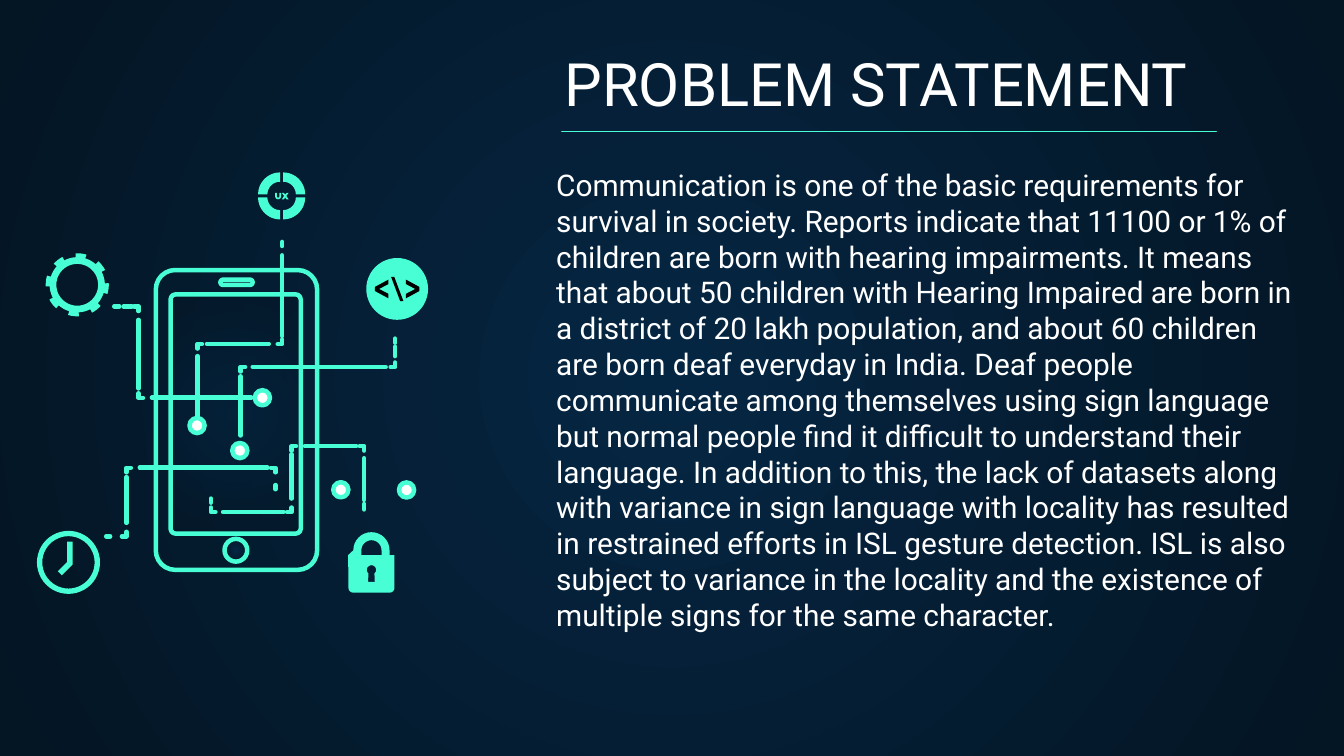
from math import cos, radians, sin

from pptx import Presentation
from pptx.dml.color import RGBColor
from pptx.enum.shapes import MSO_CONNECTOR as Connector, MSO_SHAPE as Shape
from pptx.enum.text import MSO_ANCHOR as Anchor, MSO_AUTO_SIZE as AutoSize, PP_ALIGN as Align
from pptx.oxml import parse_xml
from pptx.oxml.ns import nsdecls, qn
from pptx.util import Pt

# Content
TITLE = "PROBLEM STATEMENT"
STATEMENT = (
    "Communication is one of the basic requirements for survival in society. "
    "Reports indicate that 11100 or 1% of children are born with hearing impairments. "
    "It means that about 50 children with Hearing Impaired are born in a district of "
    "20 lakh population, and about 60 children are born deaf everyday in India. "
    "Deaf people communicate among themselves using sign language but normal people "
    "find it difficult to understand their language. In addition to this, the lack of "
    "datasets along with variance in sign language with locality has resulted in "
    "restrained efforts in ISL gesture detection. ISL is also subject to variance in "
    "the locality and the existence of multiple signs for the same character."
)

# Colours and strokes
MINT = RGBColor(0x48, 0xFF, 0xD5)
WHITE = RGBColor(0xFF, 0xFF, 0xFF)
BLACK = RGBColor(0, 0, 0)
INK = RGBColor(0x16, 0x12, 0x34)
NAVY = RGBColor(0x05, 0x26, 0x43)
MIDNIGHT = RGBColor(0x04, 0x15, 0x23)
STROKE = 2.4
ARM = 2.4  # length of each arm of a corner dash

# Circuit routes: the corners, then the dashes of each leg along its own axis
ROUTES = [
    {"corners": [(113, 274.3), (156.2, 274.3), (156.2, 239), (195.1, 239)], "first": "y",
     "dashes": [[(267.1, 269.3)], [(119.5, 151.9)], [(267.1, 243.4)], [(163.4, 190.8)],
                [(245.5, 267.8), (270, 272.9)]]},
    {"corners": [(74.2, 164.2), (74.2, 213.1)], "first": "x",
     "dashes": [[(61.2, 63.9), (66.2, 70.6)], [(171.4, 208.1)],
                [(81.4, 134.6), (137.5, 139.7)]]},
    {"corners": [(67.7, 287.3), (67.7, 250.6), (147.6, 250.6)], "first": "x",
     "dashes": [[(56.9, 59)], [(280.1, 255.6)], [(74.9, 143.3)], [(259.9, 262.1)]]},
    {"corners": [(128.9, 196.6), (211.7, 196.6)], "first": "y",
     "dashes": [[(239.8, 237.6), (233.3, 201.6)], [(135.4, 206.6)],
                [(190.8, 185.8), (183.6, 181.4)]]},
    {"corners": [(151.2, 184.3), (105.8, 184.3)], "first": "y",
     "dashes": [[(129.6, 131.8), (136.8, 180)], [(144, 110.9)],
                [(190.8, 223.2), (225.4, 228.2)]]},
]
NODES = [(182.6, 262.4), (140.6, 213.1), (217.8, 262.5), (128.5, 241.4), (105.6, 228)]
NODE_SIZE = 8.1

deck = Presentation()
deck.slide_width, deck.slide_height = Pt(720), Pt(405)
slide = deck.slides.add_slide(deck.slide_layouts[5])
shapes = slide.shapes


# Drawing helpers
def fill_radial(parent, alpha=100):
    """Swap the solid fill of parent for the navy radial gradient."""
    stops = "".join(
        f'<a:gs pos="{pos}"><a:srgbClr val="{color}"><a:alpha val="{alpha * 1000}"/></a:srgbClr></a:gs>'
        for pos, color in ((0, NAVY), (100000, MIDNIGHT)))
    gradient = parse_xml(
        f'<a:gradFill {nsdecls("a")}><a:gsLst>{stops}</a:gsLst><a:path path="circle">'
        '<a:fillToRect l="50000" t="50000" r="50000" b="50000"/></a:path></a:gradFill>')
    parent.replace(parent.find(qn("a:solidFill")), gradient)


def paint(shape, fill=None, line=None):
    shape.shadow.inherit = False
    for part, color in ((shape.fill, fill), (shape.line.fill, line)):
        if color is None:
            part.background()
        else:
            part.solid()
            part.fore_color.rgb = color
    if line is not None:
        shape.line.width = Pt(STROKE)
        shape._element.spPr.get_or_add_ln().set("cap", "rnd")
    return shape


def add_preset(kind, left, top, width, height, fill=None, line=None, adjust=None):
    shape = shapes.add_shape(kind, Pt(left), Pt(top), Pt(width), Pt(height))
    if adjust is not None:
        shape.adjustments[0] = adjust
    return paint(shape, fill, line)


def add_circle(center, size, fill=None, line=None, kind=Shape.OVAL, adjust=None):
    x, y = center
    return add_preset(kind, x - size / 2, y - size / 2, size, size, fill, line, adjust)


def add_outline(contours, fill=None, line=None, close=True):
    contours = [[(Pt(x), Pt(y)) for x, y in contour] for contour in contours]
    builder = shapes.build_freeform(*contours[0][0], scale=1.0)
    for index, contour in enumerate(contours):
        if index:
            builder.move_to(*contour[0])
        builder.add_line_segments(contour[1:], close=close)
    return paint(builder.convert_to_shape(), fill, line)


def add_line(start, end, width=STROKE):
    line = shapes.add_connector(Connector.STRAIGHT, *(Pt(v) for v in (*start, *end)))
    line.line.color.rgb = MINT
    line.line.width = Pt(width)
    properties = line._element.spPr
    properties.get_or_add_ln().set("cap", "rnd")
    properties.append(parse_xml(f'<a:effectLst {nsdecls("a")}/>'))


def arc(center, radius, start, end, steps=16):
    angles = [radians(start + (end - start) * i / steps) for i in range(steps + 1)]
    return [(center[0] + radius * cos(a), center[1] + radius * sin(a)) for a in angles]


def around(center, offsets):
    return [(center[0] + dx, center[1] + dy) for dx, dy in offsets]


def write(shape, text, place, size, anchor):
    shape.left, shape.top, shape.width, shape.height = (Pt(v) for v in place)
    frame = shape.text_frame
    layout = {"word_wrap": True, "auto_size": AutoSize.NONE, "vertical_anchor": anchor}
    layout |= {f"margin_{side}": Pt(7.2) for side in ("left", "top", "right", "bottom")}
    for name, value in layout.items():
        setattr(frame, name, value)
    para = frame.paragraphs[0]
    para.alignment = Align.LEFT
    span = para.add_run()
    span.text = text
    for name, value in {"name": "Roboto", "size": Pt(size), "bold": False}.items():
        setattr(span.font, name, value)
    span.font.color.rgb = WHITE


# Background, title and statement
slide.background.fill.solid()
fill_radial(slide._element.cSld.bg.bgPr)
write(shapes.title, TITLE, (295.2, 0, 387.4, 70.6), 32, Anchor.BOTTOM)
statement = shapes.add_textbox(0, 0, Pt(1), Pt(1))
write(statement, STATEMENT, (290.9, 82.1, 411.8, 298.1), 16, Anchor.TOP)
add_line((301, 70.6), (651.6, 70.6), 0.75)

# Phone
add_preset(Shape.ROUNDED_RECTANGLE, 83.5, 144.7, 86.4, 160.6, line=MINT, adjust=0.12)
screen = add_preset(Shape.ROUNDED_RECTANGLE, 91.4, 157.7, 69.8, 128.2, NAVY, MINT, 0.04)
fill_radial(screen._element.spPr, 53)
home = add_circle((126.4, 294.8), 12.2, NAVY, MINT)
fill_radial(home._element.spPr)
add_preset(Shape.ROUNDED_RECTANGLE, 118.1, 149.8, 17.3, 2.9, INK, MINT, 0.5)

# Circuit routes and their nodes
for route in ROUTES:
    corners, legs = route["corners"], route["dashes"]
    vertical = route["first"] == "y"
    for index, leg in enumerate(legs):
        x, y = corners[min(index, len(corners) - 1)]
        for start, end in leg:
            if vertical:
                add_line((x, start), (x, end))
            else:
                add_line((start, y), (end, y))
        if index < len(corners):
            # The arms point back along this leg and on along the next
            into = 1 if leg[-1][1] > leg[-1][0] else -1
            out = 1 if legs[index + 1][0][1] > legs[index + 1][0][0] else -1
            before = (x, y - into * ARM) if vertical else (x - into * ARM, y)
            after = (x + out * ARM, y) if vertical else (x, y + out * ARM)
            add_outline([[before, (x, y), after]], line=MINT, close=False)
        vertical = not vertical
for node in NODES:
    add_circle(node, NODE_SIZE, WHITE, MINT)

# Gear
gear = (41.4, 152.6)
rim = []
for tooth in range(8):
    middle = -128 + 45 * tooth
    rim += arc(gear, 16.9, middle - 10, middle + 10, 4)
    rim += arc(gear, 14.8, middle + 10, middle + 35, 4)
add_outline([rim, arc(gear, 11.2, 0, 360, 48)], MINT)

# Clock
clock = (36.7, 301.3)
add_circle(clock, 33.8, MINT, kind=Shape.DONUT, adjust=0.085)
add_outline([around(clock, [(-0.7, -11.1), (-0.7, -0.3), (-5.7, 4.7), (-3.6, 6.9),
                            (2.2, 1.1), (2.2, -11.1)])], MINT)

# Padlock
bow, keyhole = (199, 294.8), (199, 305.3)
body = [(186.5, 297.4), *arc(bow, 9.7, 180, 360), (208.7, 297.4), (211.3, 297.4),
        *arc((208.8, 315), 2.5, 0, 90, 4), *arc((189.2, 315), 2.5, 90, 180, 4)]
opening = [*arc(bow, 5.4, 180, 360), (204.4, 297.4), (193.6, 297.4)]
slot = [*arc(keyhole, 2.5, 130, 410), (200.8, 311.8), (197.2, 311.8)]
add_outline([body, opening, slot], MINT)

# Code badge
badge = (212.8, 154.8)
chevron = [(-4.7, 5), (-11.9, 1.1), (-11.9, -1.1), (-4.7, -5), (-4.7, -2.6),
           (-9.7, 0), (-4.7, 2.6)]
add_circle(badge, 33.1, MINT)
for side in (1, -1):
    add_outline([around(badge, [(side * dx, dy) for dx, dy in chevron])], BLACK)
add_outline([around(badge, [(1.6, 6.5), (-3.3, -6.5), (-1.6, -6.5), (3.3, 6.5)])], BLACK)

# UX badge: four quarter rings around two letters
ux = (150.9, 105)
for start in range(0, 360, 90):
    across = 1 if start in (0, 270) else -1
    down = 1 if start < 180 else -1
    hub = (ux[0] + across * 0.8, ux[1] + down * 0.8)
    ring = arc(hub, 11.8, start, start + 90) + arc(hub, 6.8, start + 90, start)
    add_outline([ring], MINT)
cup = [(-3.5, -1.6), *arc((-1.9, 0.2), 1.6, 180, 0, 8), (-0.3, -1.6), (-1.2, -1.6),
       *arc((-1.9, 0.2), 0.7, 0, 180, 8), (-2.6, -1.6)]
cross = [(0.1, -1.6), (1.2, -1.6), (1.9, -0.7), (2.6, -1.6), (3.7, -1.6), (2.5, 0),
         (3.7, 1.8), (2.6, 1.8), (1.9, 0.8), (1.2, 1.8), (0.1, 1.8), (1.3, 0)]
for letter in (cup, cross):
    add_outline([around(ux, letter)], MINT)

deck.save("out.pptx")
